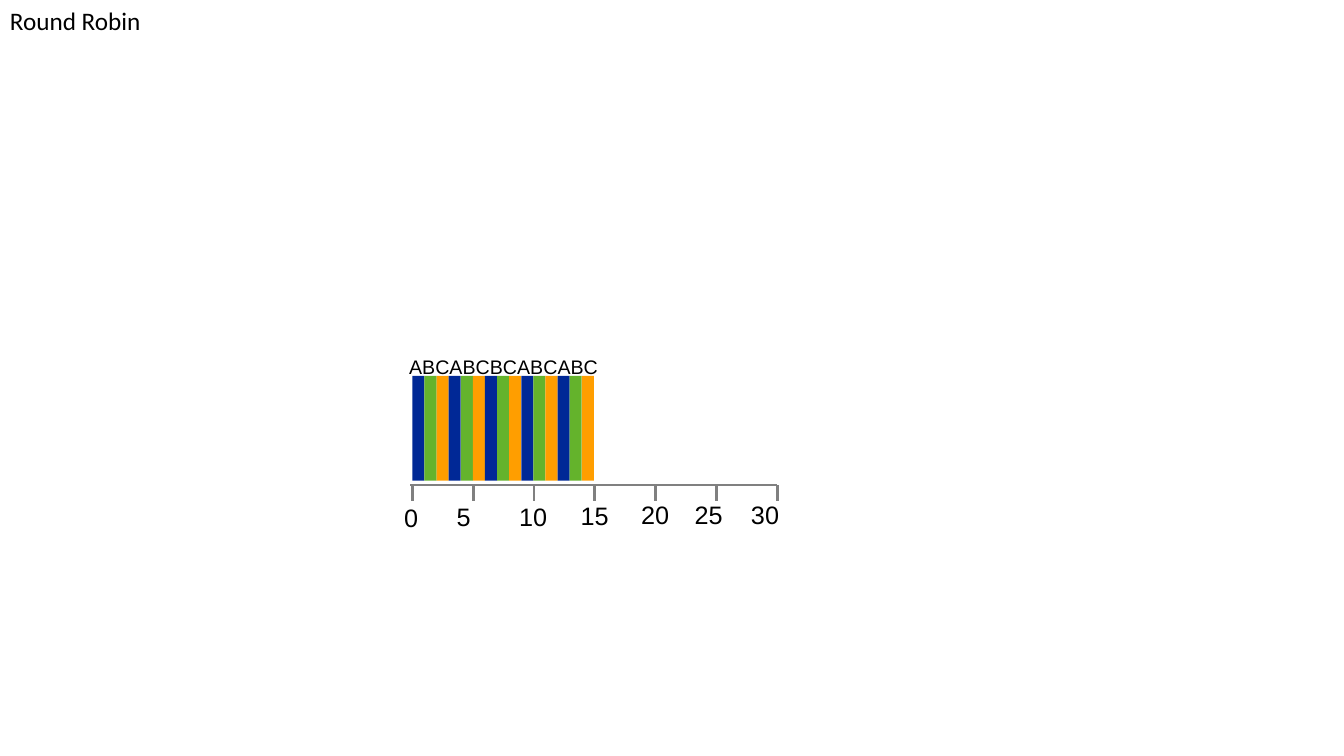
from typing import NamedTuple

from lxml import etree
from pptx import Presentation
from pptx.dml.color import RGBColor
from pptx.enum.shapes import MSO_CONNECTOR, MSO_SHAPE
from pptx.enum.text import MSO_AUTO_SIZE
from pptx.oxml.ns import qn
from pptx.slide import Slide
from pptx.util import Inches, Pt

RECT = MSO_SHAPE.RECTANGLE
STRAIGHT = MSO_CONNECTOR.STRAIGHT
GROW = MSO_AUTO_SIZE.SHAPE_TO_FIT_TEXT

BLACK = "000000"
GRAY = "808080"
JOB_COLORS = ("002896", "64B32C", "FF9E00")

AXIS_LEFT, AXIS_RIGHT, AXIS_Y = 4.09, 7.71, 4.81
TICK_HEIGHT = 0.16
SLICE_COUNT = 15
SLICE_TOP, SLICE_WIDTH, SLICE_HEIGHT = 3.73, 0.12, 1.04


class TimeLabel(NamedTuple):
    time: int
    left: float
    top: float
    width: float


TIME_LABELS = (
    TimeLabel(0, 3.91, 4.93, 0.34),
    TimeLabel(5, 4.43, 4.92, 0.34),
    TimeLabel(10, 5.05, 4.92, 0.48),
    TimeLabel(15, 5.66, 4.91, 0.48),
    TimeLabel(20, 6.26, 4.9, 0.48),
    TimeLabel(25, 6.79, 4.9, 0.48),
    TimeLabel(30, 7.35, 4.9, 0.48),
)


def rgb(color: str) -> RGBColor:
    return RGBColor.from_string(color)


def add_text(s: Slide, text: str, left: float, top: float, width: float,
             height: float = 0.4, *, size: float = 18, font: str = "Arial",
             color: str = BLACK, wrap: bool = False) -> None:
    sp = s.shapes.add_textbox(Inches(left), Inches(top), Inches(width), Inches(height))
    tf = sp.text_frame
    tf.word_wrap = wrap
    tf.auto_size = GROW
    r = tf.paragraphs[0].add_run()
    r.text = text
    r.font.name = font
    r.font.size = Pt(size)
    r.font.color.rgb = rgb(color)


def add_line(s: Slide, x1: float, y1: float, x2: float, y2: float, width: float) -> None:
    line = s.shapes.add_connector(STRAIGHT, Inches(x1), Inches(y1), Inches(x2), Inches(y2))
    line.line.color.rgb = rgb(GRAY)
    line.line.width = Pt(width)
    etree.SubElement(line._element.spPr, qn("a:effectLst"))


def add_axis(s: Slide) -> None:
    add_line(s, AXIS_LEFT - 0.02, AXIS_Y, AXIS_RIGHT, AXIS_Y, 1.5)
    step = (AXIS_RIGHT - AXIS_LEFT) / (len(TIME_LABELS) - 1)
    for i, label in enumerate(TIME_LABELS):
        x = AXIS_LEFT + i * step
        add_line(s, x, AXIS_Y + TICK_HEIGHT, x, AXIS_Y, 2)
        add_text(s, str(label.time), label.left, label.top, label.width)


def add_time_slices(s: Slide) -> None:
    for i in range(SLICE_COUNT):
        sp = s.shapes.add_shape(RECT, Inches(AXIS_LEFT + i * SLICE_WIDTH), Inches(SLICE_TOP),
                                Inches(SLICE_WIDTH), Inches(SLICE_HEIGHT))
        sp.shadow.inherit = False
        sp.fill.solid()
        sp.fill.fore_color.rgb = rgb(JOB_COLORS[i % len(JOB_COLORS)])
        sp.line.fill.background()


def main() -> None:
    prs = Presentation()
    prs.slide_width, prs.slide_height = Inches(13.33), Inches(7.5)
    s = prs.slides.add_slide(prs.slide_layouts[6])
    add_text(s, "Round Robin", 0, 0, 1.51, font="Calibri")
    add_axis(s)
    add_time_slices(s)
    add_text(s, "ABCABCBCABCABC", 3.96, 3.47, 2.4, 0.34, size=14, wrap=True)
    prs.save("out.pptx")


if __name__ == "__main__":
    main()
